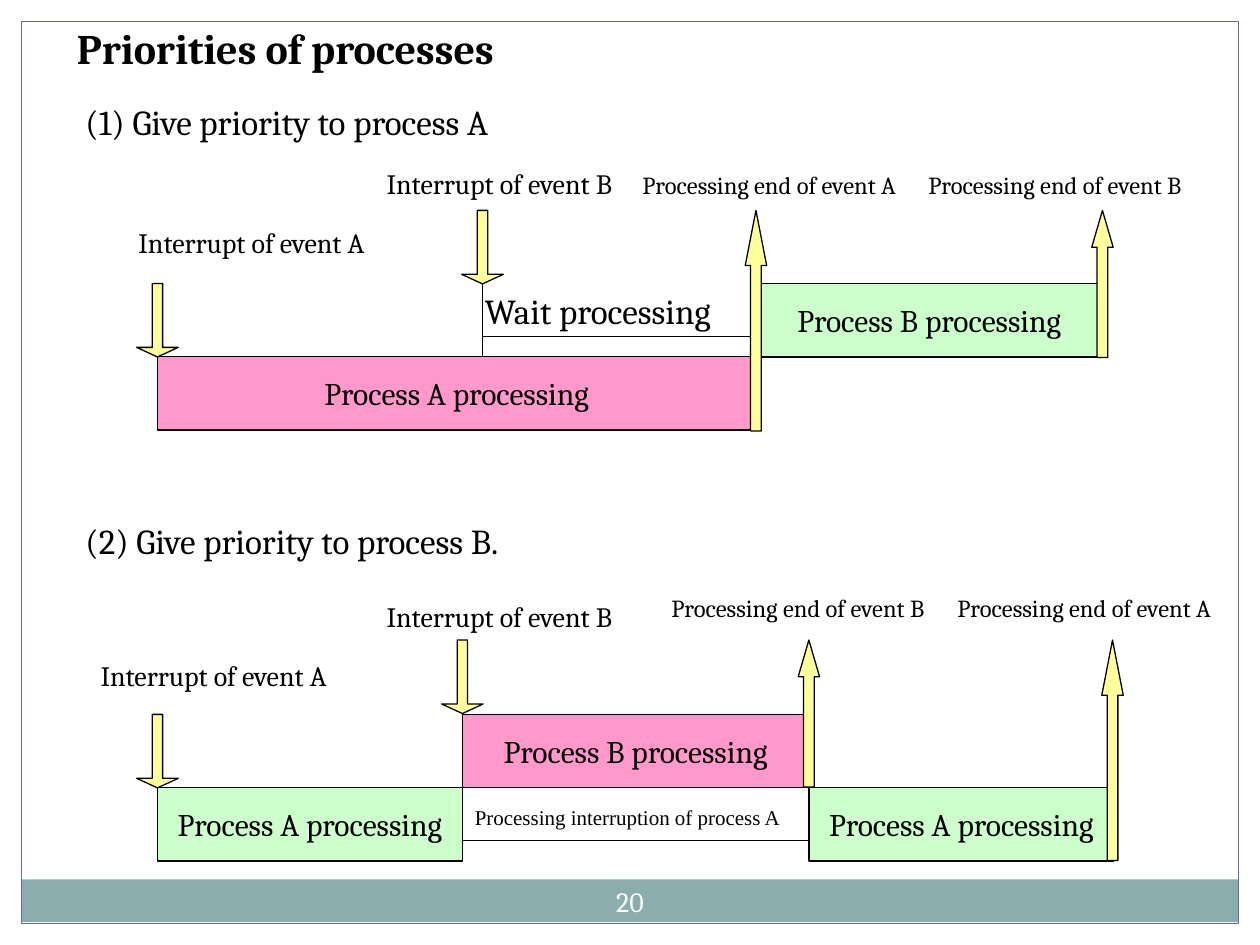
"""Build a slide comparing interrupt timelines for two process priorities."""
from dataclasses import dataclass

import pptx
import pptx.dml.color
import pptx.enum.shapes
import pptx.enum.text
import pptx.oxml.ns
import pptx.util
from lxml import etree
from pptx.util import Inches

MSO = pptx.enum.shapes.MSO_SHAPE
ALIGN = pptx.enum.text.PP_ALIGN
ANCHOR = pptx.enum.text.MSO_ANCHOR


@dataclass(frozen=True)
class Theme:
    font: str = "Cambria"
    note_font: str = "Times New Roman"
    ink: str = "000000"
    white: str = "FFFFFF"
    pink: str = "FF99CC"
    green: str = "CCFFCC"
    yellow: str = "FFFF99"
    band: str = "8CADAE"
    frame: str = "646B86"
    title: int = 24
    heading: int = 20
    process: int = 18
    start: int = 16
    end: int = 14
    note: int = 12
    line: float = 0.75


@dataclass(frozen=True)
class Label:
    text: str
    x: float
    y: float
    w: float
    size: int
    font: str = "Cambria"


@dataclass(frozen=True)
class Process:
    name: str
    x: float
    y: float
    w: float
    fill: str


@dataclass(frozen=True)
class Arrow:
    x: float
    y: float
    rows: int = 1
    up: bool = False


@dataclass(frozen=True)
class Rule:
    x1: float
    y1: float
    x2: float
    y2: float


@dataclass(frozen=True)
class Timeline:
    processes: list[Process]
    rules: list[Rule]
    arrows: list[Arrow]
    labels: list[Label]


T = Theme()
ROW = 1.75 / 3
START_W, END_W = 0.33, 0.17

TIMELINES = [
    Timeline(
        [Process("A", 1.25, 2.83, 4.75, T.pink), Process("B", 6, 2.25, 2.75, T.green)],
        [Rule(3.83, 2.25, 3.83, 2.83), Rule(3.83, 2.67, 6, 2.67)],
        [Arrow(1.25, 2.25), Arrow(3.83, 1.67),
         Arrow(6, 1.67, 3, True), Arrow(8.75, 1.67, 2, True)],
        [Label("(1) Give priority to process A", 0.58, 0.75, 3.79, T.heading),
         Label("Interrupt of event A", 1, 1.74, 2.05, T.start),
         Label("Interrupt of event B", 2.97, 1.27, 2.2, T.start),
         Label("Wait processing", 3.75, 2.25, 2.27, T.heading),
         Label("Processing end of event A", 5, 1.3, 2.81, T.end),
         Label("Processing end of event B", 7.27, 1.3, 2.65, T.end)],
    ),
    Timeline(
        [Process("A", 1.25, 6.25, 2.42, T.green), Process("A", 6.42, 6.25, 2.42, T.green),
         Process("B", 3.67, 5.67, 2.75, T.pink)],
        [Rule(3.67, 6.67, 6.42, 6.67)],
        [Arrow(1.25, 5.67), Arrow(3.67, 5.08),
         Arrow(6.42, 5.08, 2, True), Arrow(8.83, 5.08, 3, True)],
        [Label("(2) Give priority to process B.", 0.58, 4.07, 4.1, T.heading),
         Label("Interrupt of event A", 0.7, 5.18, 2.13, T.start),
         Label("Interrupt of event B", 2.97, 4.71, 2.03, T.start),
         Label("Processing end of event B", 5.23, 4.66, 2.43, T.end),
         Label("Processing end of event A", 7.5, 4.66, 2.42, T.end),
         Label("Processing interruption of process A", 3.67, 6.34, 2.83, T.note, T.note_font)],
    ),
]


def rgb(color: str) -> pptx.dml.color.RGBColor:
    """Convert a hex string to a colour."""
    return pptx.dml.color.RGBColor.from_string(color)


def write(tf, text: str, size: int, font: str = T.font, color: str = T.ink,
          bold: bool = False, align=ALIGN.LEFT, anchor=ANCHOR.TOP, wrap: bool = True) -> None:
    """Put one formatted run in a text frame."""
    tf.word_wrap = wrap
    tf.auto_size = pptx.enum.text.MSO_AUTO_SIZE.NONE
    tf.vertical_anchor = anchor
    p = tf.paragraphs[0]
    p.alignment = align
    r = p.add_run()
    r.text = text
    r.font.name, r.font.size, r.font.bold = font, pptx.util.Pt(size), bold
    r.font.color.rgb = rgb(color)


def add_shape(s, kind, x: float, y: float, w: float, h: float,
              fill: str | None = None, line: str | None = None):
    """Draw a flat preset shape."""
    sp = s.shapes.add_shape(kind, Inches(x), Inches(y), Inches(w), Inches(h))
    sp.shadow.inherit = False
    if fill:
        sp.fill.solid()
        sp.fill.fore_color.rgb = rgb(fill)
    else:
        sp.fill.background()
    if line:
        sp.line.color.rgb = rgb(line)
        sp.line.width = pptx.util.Pt(T.line)
    else:
        sp.line.fill.background()
    return sp


def add_process(s, process: Process) -> None:
    """Draw a named process bar."""
    sp = add_shape(s, MSO.RECTANGLE, process.x, process.y, process.w, ROW, process.fill, T.ink)
    write(sp.text_frame, f"Process {process.name} processing", T.process,
          align=ALIGN.CENTER, anchor=ANCHOR.MIDDLE, wrap=False)


def add_arrow(s, arrow: Arrow) -> None:
    """Draw a block arrow centred on its time."""
    h = arrow.rows * ROW
    kind, w, shaft, head = ((MSO.UP_ARROW, END_W, 0.5, h / END_W / 4) if arrow.up
                            else (MSO.DOWN_ARROW, START_W, 0.25, 0.23))
    sp = add_shape(s, kind, arrow.x - w / 2, arrow.y, w, h, T.yellow, T.ink)
    sp.adjustments[0], sp.adjustments[1] = shaft, head


def add_rule(s, rule: Rule) -> None:
    """Draw a thin straight line."""
    ends = (Inches(v) for v in (rule.x1, rule.y1, rule.x2, rule.y2))
    sp = s.shapes.add_connector(pptx.enum.shapes.MSO_CONNECTOR.STRAIGHT, *ends)
    sp.line.color.rgb = rgb(T.ink)
    sp.line.width = pptx.util.Pt(T.line)
    etree.SubElement(sp._element.spPr, pptx.oxml.ns.qn("a:effectLst"))


def add_label(s, label: Label) -> None:
    """Draw a text label one line tall."""
    h = 0.1 + label.size / 60
    sp = s.shapes.add_textbox(*(Inches(v) for v in (label.x, label.y, label.w, h)))
    write(sp.text_frame, label.text, label.size, label.font)


def main() -> None:
    """Build and save the slide."""
    prs = pptx.Presentation()
    prs.slide_width, prs.slide_height = Inches(10), Inches(7.5)
    s = prs.slides.add_slide(prs.slide_layouts[5])
    band = add_shape(s, MSO.RECTANGLE, 0.17, 6.98, 9.66, 0.34, T.band)
    write(band.text_frame, "20", T.start, color=T.white, align=ALIGN.CENTER, anchor=ANCHOR.MIDDLE)
    add_shape(s, MSO.RECTANGLE, 0.17, 0.17, 9.66, 7.16, line=T.frame)
    title = s.shapes.title
    title.left, title.top, title.width, title.height = map(Inches, (0.51, 0.13, 5.24, 0.5))
    write(title.text_frame, "Priorities of processes", T.title, bold=True)
    for timeline in TIMELINES:
        for draw, items in ((add_process, timeline.processes), (add_rule, timeline.rules),
                            (add_arrow, timeline.arrows), (add_label, timeline.labels)):
            for item in items:
                draw(s, item)
    prs.save("out.pptx")


if __name__ == "__main__":
    main()
